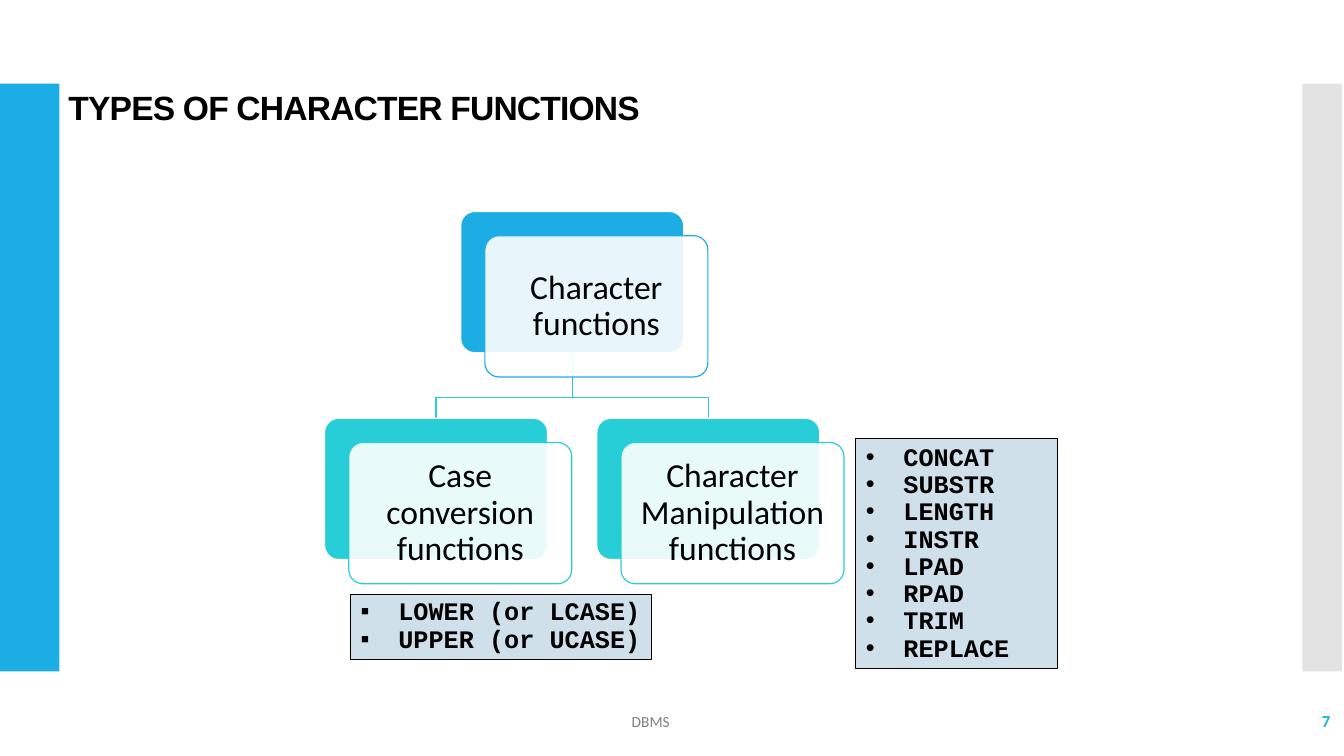
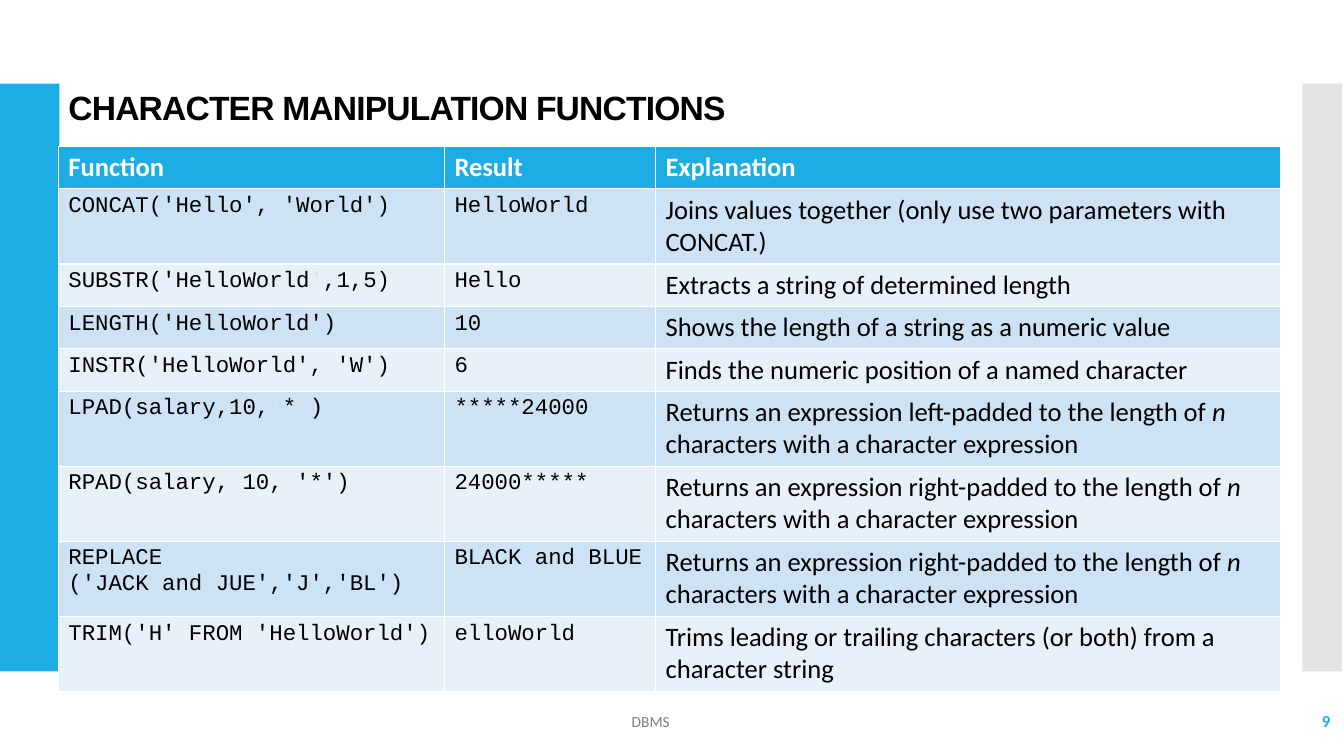
from lxml import etree
from pptx import Presentation
from pptx.dml.color import RGBColor
from pptx.enum.shapes import MSO_SHAPE
from pptx.enum.text import MSO_ANCHOR, MSO_AUTO_SIZE, PP_ALIGN
from pptx.oxml.ns import qn
from pptx.util import Cm, Pt

RECTANGLE, ROUNDED = MSO_SHAPE.RECTANGLE, MSO_SHAPE.ROUNDED_RECTANGLE
TOP, MIDDLE = MSO_ANCHOR.TOP, MSO_ANCHOR.MIDDLE
LEFT, CENTER, RIGHT = PP_ALIGN.LEFT, PP_ALIGN.CENTER, PP_ALIGN.RIGHT
NO_AUTOFIT = MSO_AUTO_SIZE.NONE

BLUE = RGBColor(0x1C, 0xAD, 0xE4)
TURQUOISE = RGBColor(0x27, 0xCE, 0xD7)
SILVER = RGBColor(0xC8, 0xC8, 0xC8)
GREY = RGBColor(0x80, 0x80, 0x80)
BLACK = RGBColor(0, 0, 0)
WHITE = RGBColor(0xFF, 0xFF, 0xFF)
LIST_FILL = RGBColor(0xCF, 0xE0, 0xEA)
ROW_FILLS = (RGBColor(0xCD, 0xE3, 0xF5), RGBColor(0xE8, 0xF1, 0xFA))
PALE_QUOTE = RGBColor(0xDF, 0xE3, 0xE5)

HEADING, BODY, CODE = "Arial", "Calibri", "Courier New"
TITLE_ONLY = 5

CARD_WIDTH, CARD_HEIGHT = Cm(5.62), Cm(3.56)
CARD_SHIFT = Cm(0.61)
COLUMN_PITCH, LEVEL_PITCH = Cm(6.86), Cm(5.21)

CASE_FUNCTIONS = ("LOWER (or LCASE)", "UPPER (or UCASE)")
MANIPULATION_FUNCTIONS = ("CONCAT", "SUBSTR", "LENGTH", "INSTR",
                          "LPAD", "RPAD", "TRIM", "REPLACE")

COLUMN_WIDTHS = (Cm(9.73), Cm(5.32), Cm(15.74))
ONE_LINE, TWO_LINES = Cm(1.07), Cm(1.89)
TABLE_HEADER = ("Function", "Result", "Explanation")
RIGHT_PADDED = ("Returns an expression right-padded to the length of ", "n ",
                "characters with a character expression")
# In a tuple of text pieces every second piece is emphasised.
TABLE_ROWS = (
    (TWO_LINES, "CONCAT('Hello', 'World')", "HelloWorld",
     "Joins values together (only use two parameters with CONCAT.)"),
    (ONE_LINE, ("SUBSTR('HelloWorld", "'", ",1,5)"), "Hello",
     "Extracts a string of determined length"),
    (ONE_LINE, "LENGTH('HelloWorld')", "10",
     "Shows the length of a string as a numeric value"),
    (ONE_LINE, "INSTR('HelloWorld', 'W')", "6",
     "Finds the numeric position of a named character"),
    (TWO_LINES, ("LPAD(salary,10,", "'", "*", "'", ")"), "*****24000",
     ("Returns an expression left-padded to the length of ", "n",
      " characters with a character expression")),
    (TWO_LINES, "RPAD(salary, 10, '*')", "24000*****", RIGHT_PADDED),
    (TWO_LINES, "REPLACE\n('JACK and JUE','J','BL')", "BLACK and BLUE",
     RIGHT_PADDED),
    (TWO_LINES, "TRIM('H' FROM 'HelloWorld')", "elloWorld",
     "Trims leading or trailing characters (or both) from a character string"),
)


def style_font(font, name, size, color, bold=False):
    font.name, font.size, font.bold = name, Pt(size), bold
    font.color.rgb = color


def set_opacity(shape, percent):
    color = shape._element.spPr.find(qn("a:solidFill"))[0]
    etree.SubElement(color, qn("a:alpha")).set("val", str(percent * 1000))


def add_filled(slide, preset, box, fill, line=None, opacity=None):
    shape = slide.shapes.add_shape(preset, *box)
    shape.shadow.inherit = False
    shape.fill.solid()
    shape.fill.fore_color.rgb = fill
    if opacity:
        set_opacity(shape, opacity)
    if line is None:
        shape.line.fill.background()
    else:
        shape.line.color.rgb = line
        shape.line.width = Pt(0.85)
    return shape


def add_label(slide, box, text, alignment, size, color, bold=False):
    frame = slide.shapes.add_textbox(*box).text_frame
    frame.word_wrap = True
    frame.vertical_anchor = MIDDLE
    paragraph = frame.paragraphs[0]
    paragraph.text = text
    paragraph.alignment = alignment
    style_font(paragraph.font, BODY, size, color, bold)


def add_base_slide(presentation, title_text, number):
    """Add a slide with the bands, title, footer and number all slides share."""
    slide = presentation.slides.add_slide(presentation.slide_layouts[TITLE_ONLY])
    band_top, band_height = Cm(2.11), Cm(14.81)
    add_filled(slide, RECTANGLE, (0, band_top, Cm(1.5), band_height), BLUE)
    add_filled(slide, RECTANGLE, (Cm(32.82), band_top, Cm(1), band_height),
               SILVER, opacity=50)

    title = slide.shapes.title
    title.left, title.top, title.width, title.height = (
        Cm(1.47), Cm(2.18), Cm(26.52), Cm(1.02))
    frame = title.text_frame
    frame.auto_size = NO_AUTOFIT
    frame.vertical_anchor = TOP
    paragraph = frame.paragraphs[0]
    paragraph.text = title_text
    paragraph.alignment = LEFT
    paragraph.line_spacing = 0.9
    style_font(paragraph.font, HEADING, 24, BLACK, bold=True)
    paragraph.runs[0]._r.get_or_add_rPr().set("spc", "-60")

    add_label(slide, (Cm(8.36), Cm(17.68), Cm(16.08), Cm(1)),
              "DBMS", CENTER, 11, GREY)
    add_label(slide, (Cm(29.54), Cm(17.65), Cm(4.24), Cm(1.02)),
              str(number), RIGHT, 12, BLUE, bold=True)
    return slide


def add_card(slide, left, top, text, color):
    """Add a coloured card with a translucent text card shifted over it."""
    add_filled(slide, ROUNDED, (left, top, CARD_WIDTH, CARD_HEIGHT),
               color, WHITE).adjustments[0] = 0.1
    front = add_filled(
        slide, ROUNDED,
        (left + CARD_SHIFT, top + CARD_SHIFT, CARD_WIDTH, CARD_HEIGHT),
        WHITE, color, opacity=90)
    front.adjustments[0] = 0.1
    frame = front.text_frame
    frame.word_wrap = True
    frame.vertical_anchor = MIDDLE
    frame.margin_left = frame.margin_right = Cm(0.36)
    paragraph = frame.paragraphs[0]
    paragraph.text = text
    paragraph.alignment = CENTER
    paragraph.line_spacing = 0.9
    style_font(paragraph.font, BODY, 24, BLACK)


def add_branch(slide, start, end):
    """Draw a line that goes down, across and down to the child card."""
    bend = end[1] - Cm(0.53)
    builder = slide.shapes.build_freeform(*start)
    builder.add_line_segments(
        [(start[0], bend), (end[0], bend), end], close=False)
    branch = builder.convert_to_shape()
    branch.shadow.inherit = False
    branch.fill.background()
    branch.line.color.rgb = TURQUOISE
    branch.line.width = Pt(0.85)


def add_tree(slide, left, top, root, children):
    root_left = left + COLUMN_PITCH * (len(children) - 1) // 2
    child_top = top + LEVEL_PITCH
    child_lefts = [left + COLUMN_PITCH * i for i in range(len(children))]
    half = CARD_WIDTH // 2
    for child_left in child_lefts:
        add_branch(slide, (root_left + half, top + CARD_HEIGHT),
                   (child_left + half, child_top))
    add_card(slide, root_left, top, root, BLUE)
    for child_left, text in zip(child_lefts, children):
        add_card(slide, child_left, child_top, text, TURQUOISE)


def add_function_list(slide, box, names, bullet, anchor):
    shape = slide.shapes.add_textbox(*box)
    shape.fill.solid()
    shape.fill.fore_color.rgb = LIST_FILL
    shape.line.color.rgb = BLACK
    shape.line.width = Pt(0.75)
    frame = shape.text_frame
    frame.word_wrap = True
    frame.vertical_anchor = anchor
    frame.text = "\n".join(names)
    for paragraph in frame.paragraphs:
        paragraph.line_spacing = 0.9
        properties = paragraph._p.get_or_add_pPr()
        properties.set("marL", str(Cm(0.95)))
        properties.set("indent", str(-Cm(0.95)))
        etree.SubElement(properties, qn("a:buFont")).set("typeface", HEADING)
        etree.SubElement(properties, qn("a:buChar")).set("char", bullet)
        style_font(paragraph.font, CODE, 18, BLACK, bold=True)


def fill_cell(cell, content, fill, name, size, color=BLACK, bold=False):
    cell.fill.solid()
    cell.fill.fore_color.rgb = fill
    paragraph = cell.text_frame.paragraphs[0]
    if isinstance(content, str):
        paragraph.text = content
    else:
        for index, piece in enumerate(content):
            run = paragraph.add_run()
            run.text = piece
            if index % 2 and name == CODE:
                run.font.color.rgb = PALE_QUOTE
            elif index % 2:
                run.font.italic = True
    style_font(paragraph.font, name, size, color, bold)


def add_function_table(slide, left, top):
    heights = [ONE_LINE] + [row[0] for row in TABLE_ROWS]
    table = slide.shapes.add_table(
        len(heights), len(COLUMN_WIDTHS), left, top,
        sum(COLUMN_WIDTHS), sum(heights)).table
    for column, width in zip(table.columns, COLUMN_WIDTHS):
        column.width = width
    for row, height in zip(table.rows, heights):
        row.height = height
    for index, heading in enumerate(TABLE_HEADER):
        fill_cell(table.cell(0, index), heading, BLUE, BODY, 19, WHITE, True)
    fonts = ((CODE, 16), (CODE, 16), (BODY, 19))
    for row_index, (_, *contents) in enumerate(TABLE_ROWS):
        fill = ROW_FILLS[row_index % 2]
        for index, (content, font) in enumerate(zip(contents, fonts)):
            fill_cell(table.cell(row_index + 1, index), content, fill, *font)


def build_types_slide(presentation):
    slide = add_base_slide(presentation, "TYPES OF CHARACTER FUNCTIONS", 7)
    add_tree(slide, Cm(8.18), Cm(5.33), "Character functions",
             ("Case conversion functions", "Character Manipulation functions"))
    add_function_list(slide, (Cm(21.57), Cm(11.05), Cm(5.08), Cm(5.8)),
                      MANIPULATION_FUNCTIONS, "•", MIDDLE)
    add_function_list(slide, (Cm(8.84), Cm(14.97), Cm(7.57), Cm(1.65)),
                      CASE_FUNCTIONS, "▪", TOP)


def build_manipulation_slide(presentation):
    slide = add_base_slide(presentation, "CHARACTER MANIPULATION FUNCTIONS", 9)
    add_function_table(slide, Cm(1.47), Cm(3.69))


def main():
    presentation = Presentation()
    presentation.slide_width, presentation.slide_height = Cm(33.87), Cm(19.05)
    build_types_slide(presentation)
    build_manipulation_slide(presentation)
    presentation.save("out.pptx")


if __name__ == "__main__":
    main()
